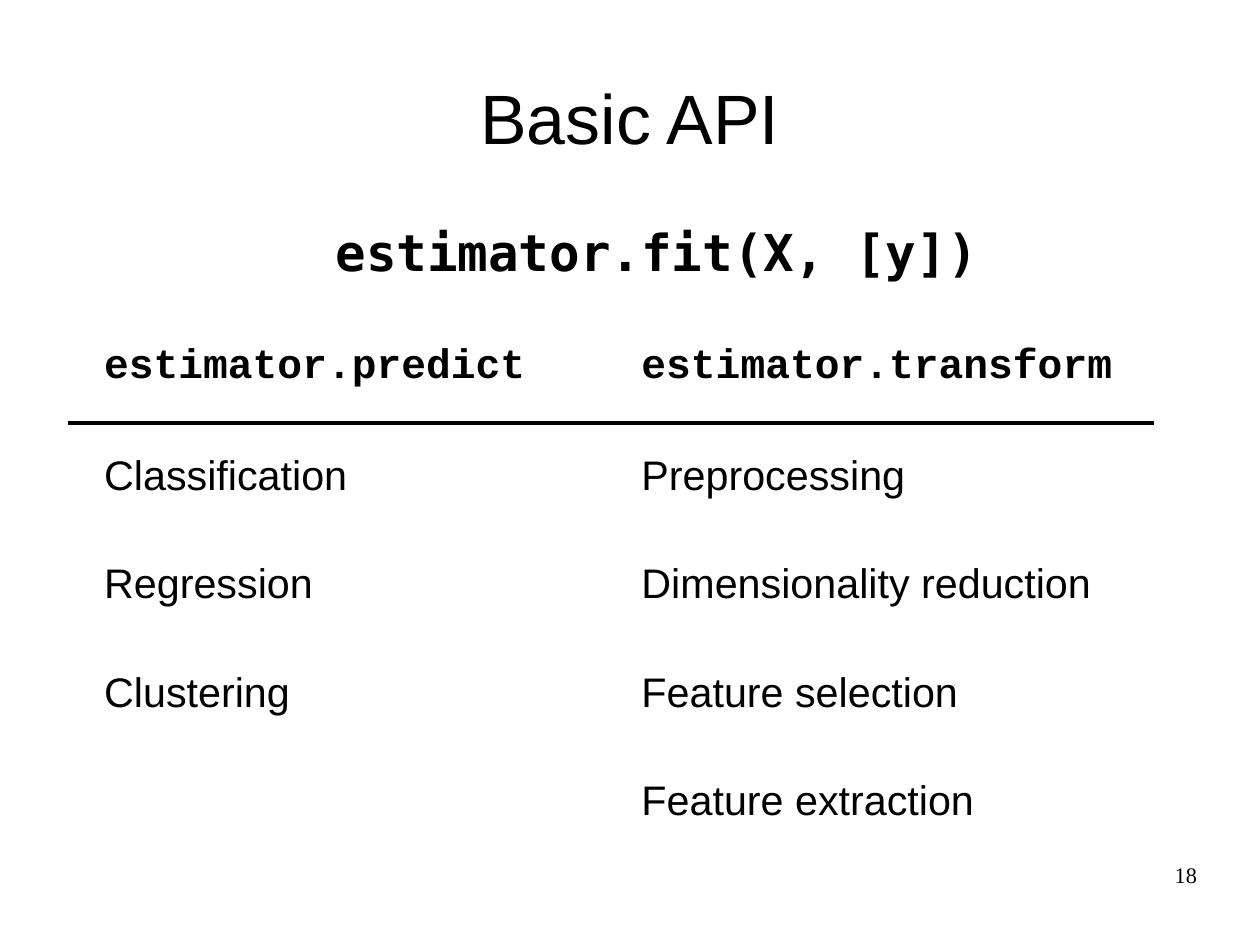
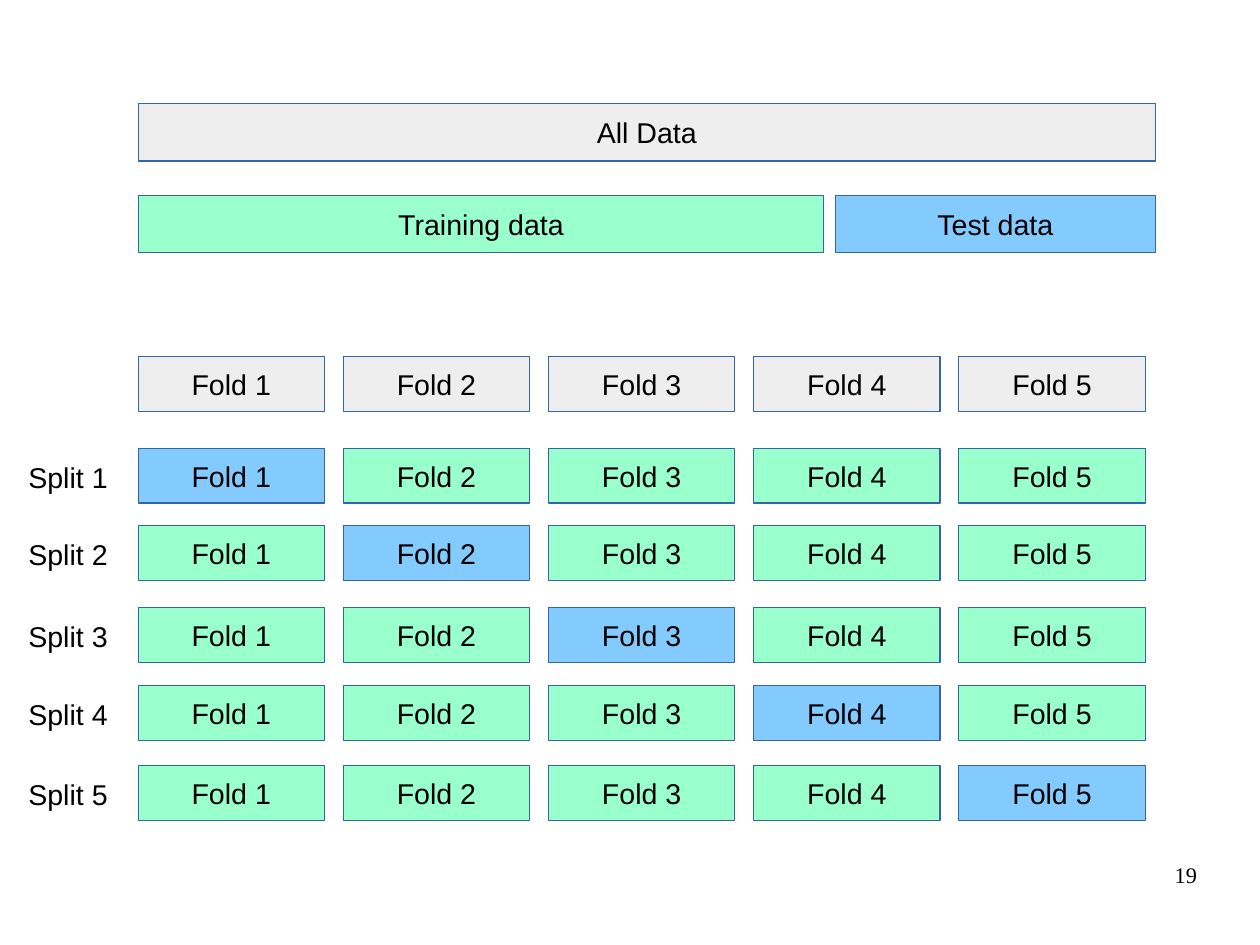
"""Build two slides: an estimator API overview and a cross-validation diagram."""
import dataclasses

import pptx
import pptx.dml.color
import pptx.enum.shapes
import pptx.enum.text
import pptx.oxml.ns
import pptx.util
from lxml import etree

Cm = pptx.util.Cm
Pt = pptx.util.Pt
ALIGN = pptx.enum.text.PP_ALIGN
ANCHOR = pptx.enum.text.MSO_ANCHOR


@dataclasses.dataclass(frozen=True)
class Theme:
    """Colours, fonts and type sizes shared by the slides."""
    ink: str = "000000"
    paper: str = "FFFFFF"
    outline: str = "3465A4"
    neutral: str = "EEEEEE"
    training: str = "99FFCC"
    test: str = "83CAFF"
    sans: str = "Arial"
    serif: str = "Times New Roman"
    code: str = "DejaVu Sans Mono"
    table_code: str = "Courier New"
    title_size: int = 44
    code_size: int = 32
    table_size: int = 26
    label_size: int = 18
    number_size: int = 14


@dataclasses.dataclass(frozen=True)
class Box:
    """A rectangle in centimetres."""
    left: float
    top: float
    width: float
    height: float

    def lengths(self):
        """Return left, top, width and height as lengths."""
        return [Cm(value) for value in dataclasses.astuple(self)]


THEME = Theme()
SLIDE_WIDTH, SLIDE_HEIGHT = 28, 21
TITLE_BOX = Box(1.4, 0.84, 25.2, 3.5)
BODY_BOX = Box(1.4, 4.9, 25.2, 12.17)
TABLE_BOX = Box(2.06, 7.52, 23.88, 12.07)
NUMBER_BOX = Box(20.07, 19.13, 6.53, 1.45)
DATA_BOX = Box(3.07, 2.31, 22.61, 3.3)
FOLDS_BOX = Box(3.07, 7.92, 22.38, 10.32)
API_ROWS = [
    ("estimator.predict", "estimator.transform"),
    ("Classification", "Preprocessing"),
    ("Regression", "Dimensionality reduction"),
    ("Clustering", "Feature selection"),
    ("", "Feature extraction"),
]
FOLD_COUNT = 5
SPLIT_OFFSETS = (2.04, 3.76, 5.59, 7.32, 9.1)


def rgb(value):
    """Turn a hexadecimal string into a colour."""
    return pptx.dml.color.RGBColor.from_string(value)


def write_text(frame, text, size=THEME.label_size, font=THEME.sans, bold=False,
               align=ALIGN.LEFT, anchor=ANCHOR.TOP, wrap=True, inset=None):
    """Write one formatted paragraph into a text frame and return it."""
    frame.auto_size = pptx.enum.text.MSO_AUTO_SIZE.NONE
    frame.word_wrap = wrap
    frame.vertical_anchor = anchor
    if inset is not None:
        frame.margin_left = frame.margin_right = Cm(inset)
        frame.margin_top = frame.margin_bottom = Cm(inset)
    paragraph = frame.paragraphs[0]
    paragraph.alignment = align
    paragraph.space_before = Pt(0)
    run = paragraph.add_run()
    run.text = text
    run.font.size = Pt(size)
    run.font.name = font
    run.font.bold = bold
    run.font.color.rgb = rgb(THEME.ink)
    return paragraph


def place(shape, box):
    """Move and size a shape to fit a box."""
    shape.left, shape.top, shape.width, shape.height = box.lengths()


def add_label(slide, box, text, **text_format):
    """Add a text box."""
    shape = slide.shapes.add_textbox(*box.lengths())
    write_text(shape.text_frame, text, **text_format)


def add_block(slide, box, text, fill):
    """Add a filled rectangle with a centred label."""
    shape = slide.shapes.add_shape(
        pptx.enum.shapes.MSO_SHAPE.RECTANGLE, *box.lengths())
    shape.shadow.inherit = False
    shape.fill.solid()
    shape.fill.fore_color.rgb = rgb(fill)
    shape.line.color.rgb = rgb(THEME.outline)
    shape.line.width = Pt(0)
    write_text(shape.text_frame, text, align=ALIGN.CENTER,
               anchor=ANCHOR.MIDDLE, wrap=False)


def add_slide_number(slide, number):
    """Add the page number at the lower right."""
    add_label(slide, NUMBER_BOX, str(number), size=THEME.number_size,
              font=THEME.serif, align=ALIGN.RIGHT, inset=0)


def fill_title(slide, box, text):
    """Place and fill the title placeholder."""
    title = slide.shapes.title
    place(title, box)
    write_text(title.text_frame, text, size=THEME.title_size,
               align=ALIGN.CENTER, anchor=ANCHOR.MIDDLE, inset=0)


def fill_signature(slide, box, text):
    """Place the body placeholder and fill it with a line of code."""
    body = slide.placeholders[1]
    place(body, box)
    paragraph = write_text(body.text_frame, text, size=THEME.code_size,
                           font=THEME.code, bold=True, align=ALIGN.CENTER,
                           inset=0)
    paragraph.space_after = Pt(14.2)
    properties = paragraph._p.get_or_add_pPr()
    properties.set("marL", str(Cm(1.2)))
    properties.set("indent", "0")
    etree.SubElement(properties, pptx.oxml.ns.qn("a:buNone"))


def add_api_table(slide, box, rows):
    """Add the two-column method table with a rule under its header."""
    frame = slide.shapes.add_table(len(rows), len(rows[0]), *box.lengths())
    table = frame.table
    table.first_row = table.horz_banding = False
    for row_index, row in enumerate(rows):
        header = row_index == 0
        for column_index, text in enumerate(row):
            cell = table.cell(row_index, column_index)
            cell.fill.solid()
            cell.fill.fore_color.rgb = rgb(THEME.paper)
            if text:
                write_text(cell.text_frame, text, size=THEME.table_size,
                           font=THEME.table_code if header else THEME.sans,
                           bold=header)
    rule_top = Cm(box.top + 1.88)
    rule = slide.shapes.add_connector(
        pptx.enum.shapes.MSO_CONNECTOR.STRAIGHT,
        Cm(box.left - 0.56), rule_top,
        Cm(box.left + box.width - 0.29), rule_top)
    rule.line.color.rgb = rgb(THEME.ink)
    rule.line.width = Pt(2.9)
    etree.SubElement(rule._element.spPr, pptx.oxml.ns.qn("a:effectLst"))


def add_data_bars(slide, box):
    """Add the bar of all data above its training and test parts."""
    height, gap, training_width = 1.27, 0.25, 15.24
    lower_top = box.top + box.height - height
    test_offset = training_width + gap
    add_block(slide, Box(box.left, box.top, box.width, height),
              "All Data", THEME.neutral)
    add_block(slide, Box(box.left, lower_top, training_width, height),
              "Training data", THEME.training)
    add_block(slide, Box(box.left + test_offset, lower_top,
                         box.width - test_offset, height),
              "Test data", THEME.test)


def add_fold_row(slide, box, fill_for):
    """Add one row of folds, coloured by a function of the fold number."""
    gap = 0.42
    width = (box.width - gap * (FOLD_COUNT - 1)) / FOLD_COUNT
    for index in range(FOLD_COUNT):
        fold = index + 1
        left = box.left + index * (width + gap)
        add_block(slide, Box(left, box.top, width, box.height),
                  f"Fold {fold}", fill_for(fold))


def add_fold_grid(slide, box):
    """Add the fold header and a labelled row for each split."""
    height = 1.22
    add_fold_row(slide, Box(box.left, box.top, box.width, height),
                 lambda fold: THEME.neutral)
    for split, offset in enumerate(SPLIT_OFFSETS, start=1):
        top = box.top + offset
        add_fold_row(
            slide, Box(box.left, top, box.width, height),
            lambda fold: THEME.test if fold == split else THEME.training)
        add_label(slide, Box(box.left - 2.69, top + 0.13, 2.31, 0.97),
                  f"Split {split}", wrap=False)


def build_api_slide(presentation, number):
    """Build the slide on the estimator methods."""
    slide = presentation.slides.add_slide(presentation.slide_layouts[1])
    fill_title(slide, TITLE_BOX, "Basic API")
    fill_signature(slide, BODY_BOX, "estimator.fit(X, [y])")
    add_api_table(slide, TABLE_BOX, API_ROWS)
    add_slide_number(slide, number)


def build_folds_slide(presentation, number):
    """Build the cross-validation slide."""
    slide = presentation.slides.add_slide(presentation.slide_layouts[6])
    add_data_bars(slide, DATA_BOX)
    add_fold_grid(slide, FOLDS_BOX)
    add_slide_number(slide, number)


def main():
    """Build and save the presentation."""
    presentation = pptx.Presentation()
    presentation.slide_width = Cm(SLIDE_WIDTH)
    presentation.slide_height = Cm(SLIDE_HEIGHT)
    builders = (build_api_slide, build_folds_slide)
    for number, build in enumerate(builders, start=18):
        build(presentation, number)
    presentation.save("out.pptx")


if __name__ == "__main__":
    main()
